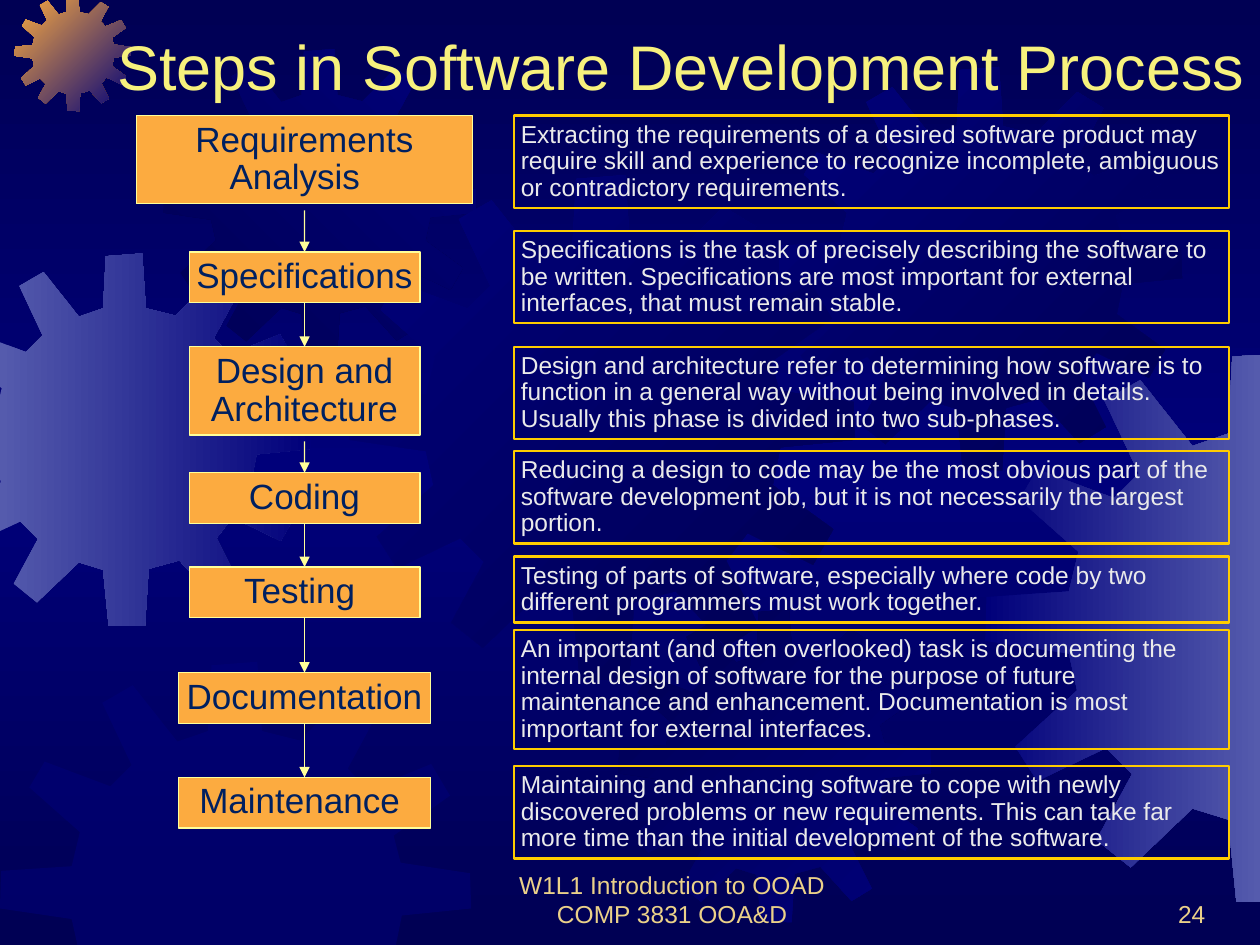
from copy import deepcopy
from itertools import pairwise

from pptx import Presentation
from pptx.dml.color import RGBColor
from pptx.enum.shapes import MSO_CONNECTOR, MSO_SHAPE
from pptx.enum.text import MSO_ANCHOR, PP_ALIGN
from pptx.oxml.ns import qn
from pptx.oxml.xmlchemy import OxmlElement
from pptx.util import Cm, Pt

WIDE, HIGH = 25.4, 19.05
HUES = {
    "dark": "000054", "navy": "00007A", "haze": "555BAD", "amber": "FCAB40",
    "lemon": "FFFF99", "gold": "FFCC00", "title": "F7F17D", "sand": "EBD189",
    "ink": "002060", "pale": "EAEAEA",
}
SPAN = 401
TEETH = [
    (255, 67), (223, 59), (219, 0), (180, 3), (177, 59), (151, 68),
    (113, 20), (87, 35), (112, 88), (94, 106), (38, 85), (25, 107),
    (68, 145), (61, 174), (1, 178), (0, 210), (61, 219), (67, 246),
    (22, 287), (38, 312), (88, 288), (107, 307), (81, 355), (106, 375),
    (151, 332), (177, 340), (183, 400), (222, 401), (226, 339), (259, 330),
    (299, 374), (325, 358), (299, 306), (316, 284), (368, 309), (384, 281),
    (336, 246), (342, 216), (401, 210), (400, 180), (341, 171), (335, 148),
    (383, 114), (367, 87), (313, 109), (296, 91), (323, 41), (297, 25),
]
GEARS = [
    (-1.24, 5.11, 7.52, "haze", "navy", 0),
    (0.3, -0.1, 2.34, "amber", "navy", 45),
    (3.3, 0.99, 6.3, "dark", "navy", 315),
    (7.04, 3.53, 10.19, "navy", "dark", 45),
    (0, 13.34, 9.5, "navy", None, 0),
    (12.47, 12.29, 6.3, "dark", "navy", 45),
    (15.7, 1.35, 8.13, "navy", "dark", 45),
    (19.86, 7.11, 11.1, "navy", "haze", 0),
]
MID, ONE, TWO, GAP = 6.14, 1.02, 1.78, 0.13
STEPS = [
    ("Requirements Analysis  ", 2.33, 6.78, TWO),
    ("Specifications", 5.08, 4.65, ONE),
    ("Design and Architecture", 6.99, 4.65, TWO),
    ("Coding", 9.53, 4.65, ONE),
    ("Testing ", 11.43, 4.65, ONE),
    ("Documentation", 13.56, 5.08, ONE),
    ("Maintenance ", 15.67, 5.08, ONE),
]
NOTES = [
    (2.33, 1.86, "Extracting the requirements of a desired software product may require skill and experience to recognize incomplete, ambiguous or contradictory requirements."),
    (4.66, 1.86, "Specifications is the task of precisely describing the software to be written. Specifications are most important for external interfaces, that must remain stable."),
    (6.99, 1.86, "Design and architecture refer to determining how software is to function in a general way without being involved in details. Usually this phase is divided into two sub-phases."),
    (9.1, 1.86, "Reducing a design to code may be the most obvious part of the software development job, but it is not necessarily the largest portion."),
    (11.22, 1.33, "Testing of parts of software, especially where code by two different programmers must work together."),
    (12.7, 2.4, "An important (and often overlooked) task is documenting the internal design of software for the purpose of future maintenance and enhancement. Documentation is most important for external interfaces."),
    (15.45, 1.86, "Maintaining and enhancing software to cope with newly discovered problems or new requirements. This can take far more time than the initial development of the software."),
]


def tint(name):
    return RGBColor.from_string(HUES[name])


def clip(dots, axis, edge, sign):
    kept = []
    for a, b in pairwise([*dots, dots[0]]):
        da, db = sign * (a[axis] - edge), sign * (b[axis] - edge)
        if da >= 0:
            kept.append(a)
        if da * db < 0:
            part = da / (da - db)
            kept.append(tuple(p + part * (q - p) for p, q in zip(a, b)))
    return kept


class Deck:
    font = "Arial"

    def __init__(self):
        self.show = Presentation()
        self.show.slide_width, self.show.slide_height = Cm(WIDE), Cm(HIGH)
        self.slide = self.show.slides.add_slide(self.show.slide_layouts[6])
        self.items = self.slide.shapes

    def blend(self, fill, names, angle):
        fill.gradient()
        fill.gradient_angle = -angle % 360
        for stop, name in zip(fill.gradient_stops, names):
            stop.color.rgb = tint(name)

    def back(self):
        fill = self.slide.background.fill
        self.blend(fill, ["dark", "navy"], 90)
        stops = self.slide.element.find(".//" + qn("a:gsLst"))
        stops.append(deepcopy(stops[0]))
        for stop, place in zip(fill.gradient_stops, (0, 0.5, 1)):
            stop.position = place

    def gear(self, left, top, size, first, last, angle):
        dots = [(left + x * size / SPAN, top + y * size / SPAN) for x, y in TEETH]
        for axis, edge, sign in ((0, 0, 1), (0, WIDE, -1), (1, 0, 1), (1, HIGH, -1)):
            dots = clip(dots, axis, edge, sign)
        start, *rest = [(Cm(x), Cm(y)) for x, y in dots]
        pen = self.items.build_freeform(*start)
        pen.add_line_segments(rest, close=True)
        shape = pen.convert_to_shape()
        shape.shadow.inherit = False
        shape.line.fill.background()
        if last:
            self.blend(shape.fill, [first, last], angle)
        else:
            shape.fill.solid()
            shape.fill.fore_color.rgb = tint(first)
            alpha = OxmlElement("a:alpha")
            alpha.set("val", "50000")
            shape.element.find(".//" + qn("a:srgbClr")).append(alpha)

    def text(self, shape, lines, size, hue, align, anchor, side, space=1.0):
        frame = shape.text_frame
        frame.word_wrap = True
        frame.vertical_anchor = anchor
        frame.margin_left = frame.margin_right = Cm(side)
        frame.margin_top = frame.margin_bottom = Cm(0.13)
        frame.text = "\n".join(lines)
        for para in frame.paragraphs:
            para.alignment, para.line_spacing = align, space
            para.font.name, para.font.size = self.font, Pt(size)
            para.font.color.rgb = tint(hue)

    def label(self, box, lines, size, hue, align):
        shape = self.items.add_textbox(*map(Cm, box))
        self.text(shape, lines, size, hue, align, MSO_ANCHOR.BOTTOM, 0.25)
        return shape

    def panel(self, kind, box, edge, width, fill=None):
        shape = self.items.add_shape(kind, *map(Cm, box))
        shape.shadow.inherit = False
        shape.line.color.rgb, shape.line.width = tint(edge), Pt(width)
        if fill:
            shape.fill.solid()
            shape.fill.fore_color.rgb = tint(fill)
        else:
            shape.fill.background()
        return shape

    def step(self, text, top, width, height):
        box = (MID - width / 2, top, width, height)
        shape = self.panel(MSO_SHAPE.FLOWCHART_PROCESS, box, "lemon", 0.75, "amber")
        self.text(shape, [text], 20, "ink", PP_ALIGN.CENTER, MSO_ANCHOR.MIDDLE, 0.13, 0.9)
        return shape

    def note(self, top, height, text):
        shape = self.panel(MSO_SHAPE.RECTANGLE, (10.37, top, 14.4, height), "gold", 1.25)
        self.text(shape, [text], 14, "pale", PP_ALIGN.LEFT, MSO_ANCHOR.TOP, 0.13, 0.9)

    def arrow(self, above, below):
        start = above.top + above.height + Cm(GAP)
        line = self.items.add_connector(MSO_CONNECTOR.STRAIGHT, Cm(MID), start, Cm(MID), below.top)
        if above.height < Cm(TWO):
            line.begin_connect(above, 2)
        line.end_connect(below, 0)
        line.line.color.rgb, line.line.width = tint("lemon"), Pt(0.75)
        tip = OxmlElement("a:tailEnd")
        tip.set("type", "triangle")
        line.element.find(".//" + qn("a:ln")).append(tip)
        line.element.spPr.append(OxmlElement("a:effectLst"))


def main():
    deck = Deck()
    deck.back()
    for gear in GEARS:
        deck.gear(*gear)
    deck.label((2.12, 0.43, 23.28, 1.78), ["Steps in Software Development Process"], 36, "title", PP_ALIGN.LEFT)
    foot = deck.label((9.73, 17.58, 8.05, 1.27), ["W1L1 Introduction to OOAD", "COMP 3831 OOA&D"], 14, "sand", PP_ALIGN.CENTER)
    foot.element.find(".//" + qn("a:pPr")).set("marR", str(Cm(0.41)))
    deck.label((19.26, 17.58, 5.29, 1.27), ["24"], 14, "sand", PP_ALIGN.RIGHT)
    for note in NOTES:
        deck.note(*note)
    steps = [deck.step(*step) for step in STEPS]
    for above, below in pairwise(steps):
        deck.arrow(above, below)
    deck.show.save("out.pptx")


if __name__ == "__main__":
    main()
